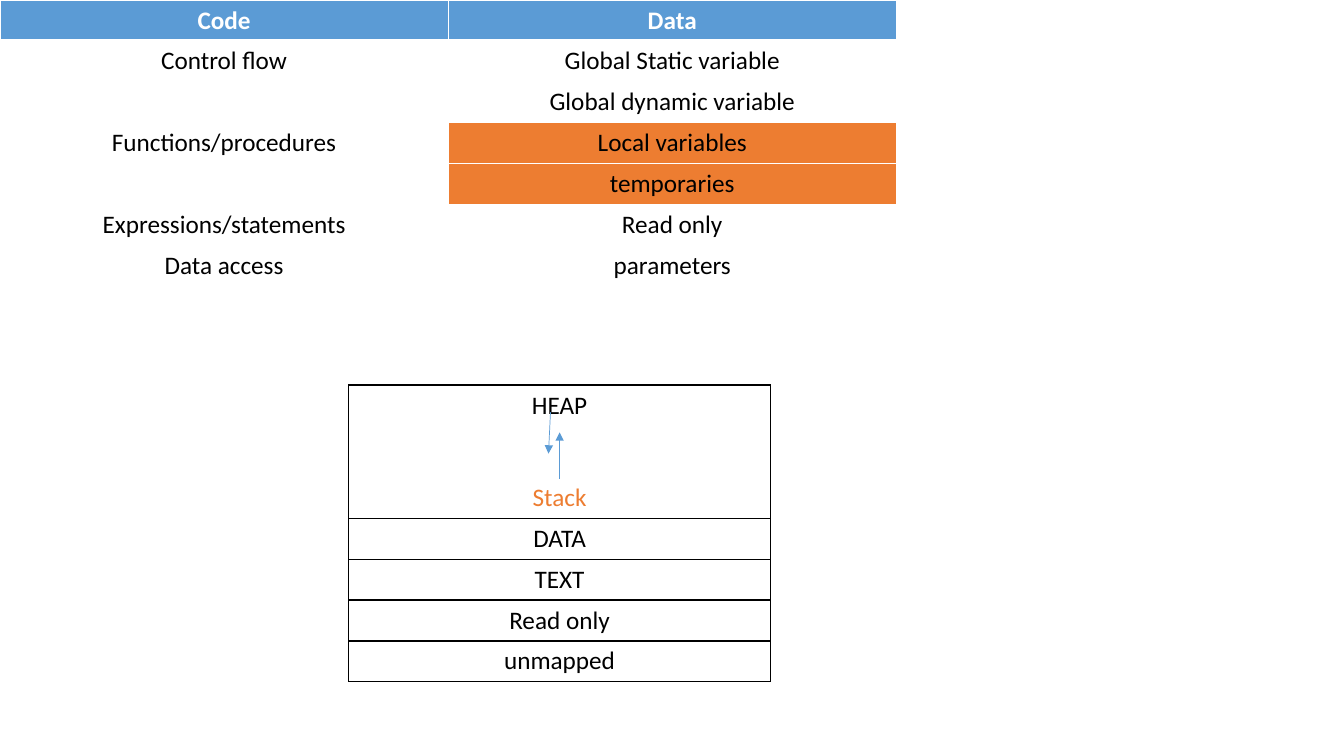
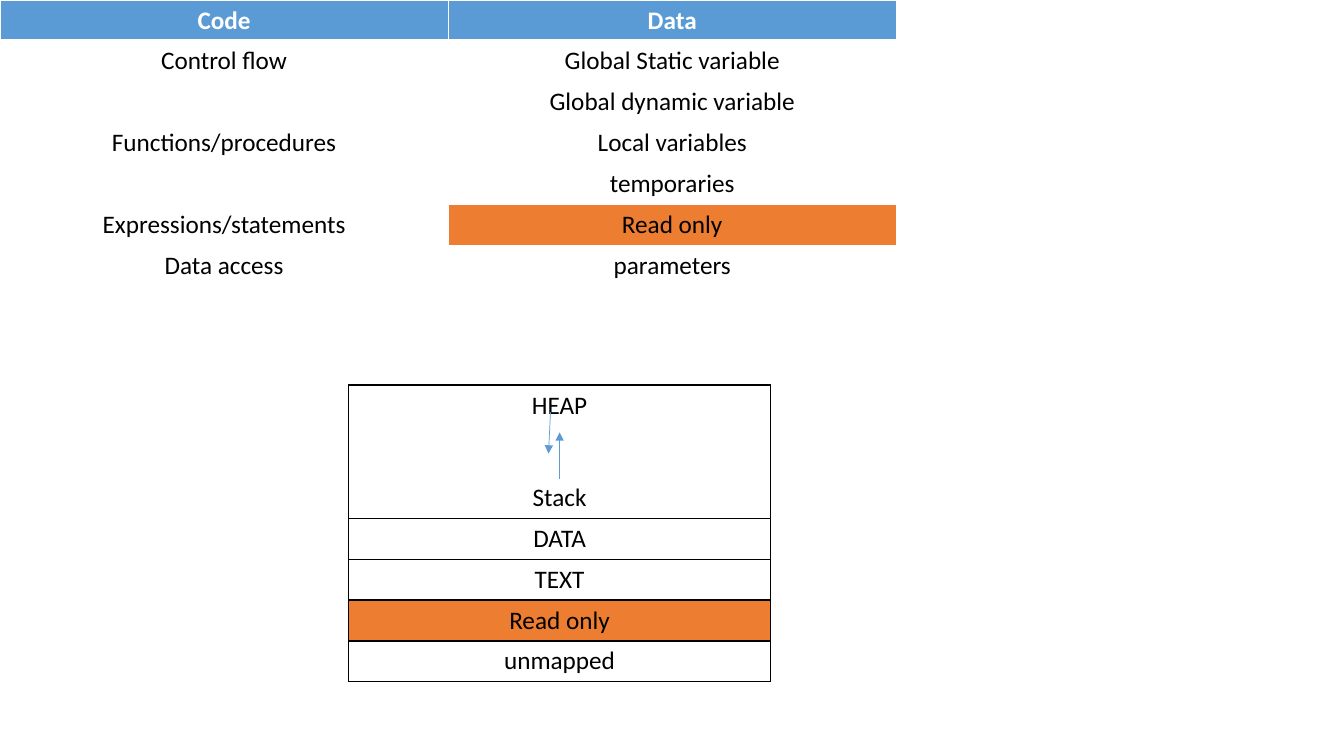
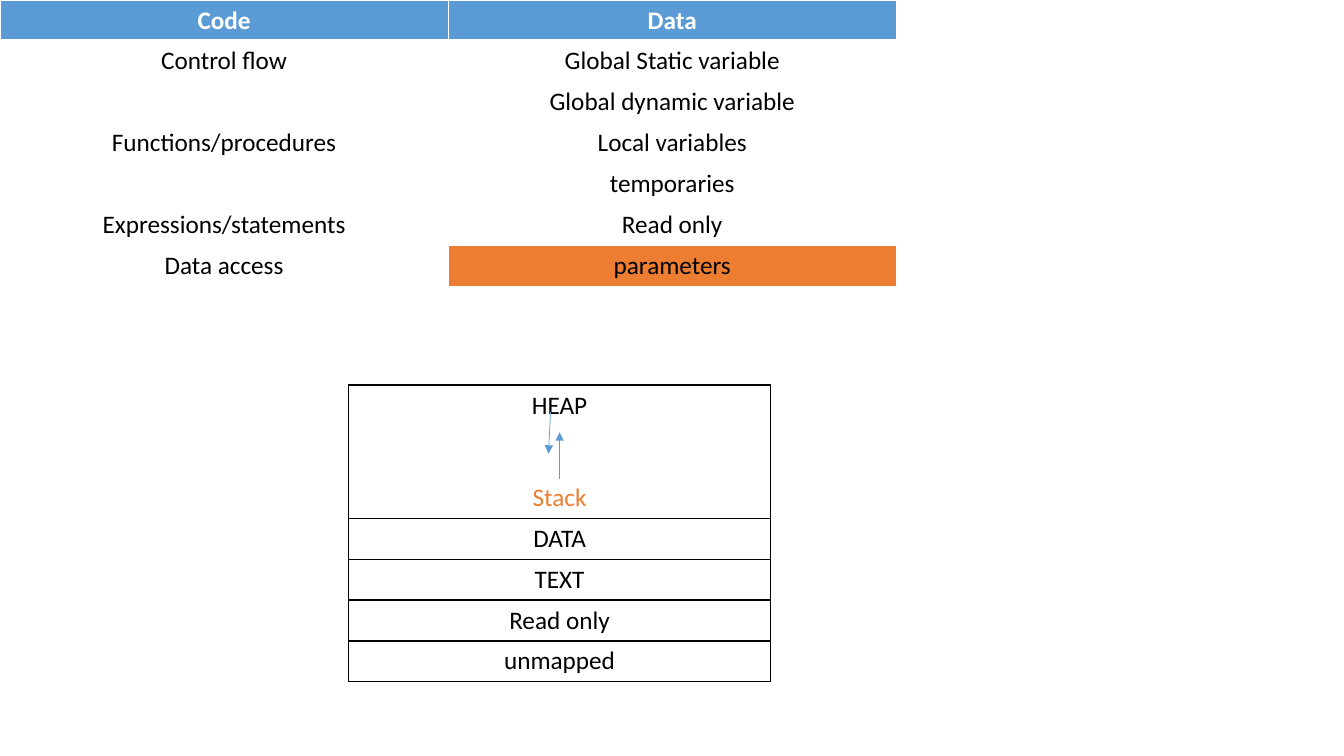
from lxml.etree import SubElement
from pptx import Presentation
from pptx.dml.color import RGBColor
from pptx.enum.shapes import MSO_CONNECTOR
from pptx.enum.text import PP_ALIGN
from pptx.oxml.ns import qn
from pptx.util import Inches, Pt

COLORS = {
    "header": "5B9BD5",
    "highlight": "ED7D31",
    "text": "000000",
    "paper": "FFFFFF",
}
FONT = {"name": "Calibri", "size": Pt(18), "bold": False}
ROW_HEIGHT = 0.4
LINE_HEIGHT = Pt(22)

CONCEPTS = [
    ("Code", "Data"),
    ("Control flow", "Global Static variable"),
    ("", "Global dynamic variable"),
    ("Functions/procedures", "Local variables"),
    ("", "temporaries"),
    ("Expressions/statements", "Read only"),
    ("Data access", "parameters"),
]
SEGMENTS = ["HEAP", "DATA", "TEXT", "Read only", "unmapped"]
GROWTH_ARROWS = [((2, 0.27), (1.98, 0.68)), ((2.09, 0.93), (2.09, 0.47))]

SLIDES = [
    {"Local variables", "temporaries", "Stack"},
    {"Read only"},
    {"parameters", "Stack"},
]


def rgb(color):
    return RGBColor.from_string(COLORS[color])


def write(paragraph, text, color="text", bold=False):
    paragraph.alignment = PP_ALIGN.CENTER
    run = paragraph.add_run()
    run.text = text
    for attribute, value in {**FONT, "bold": bold}.items():
        setattr(run.font, attribute, value)
    run.font.color.rgb = rgb(color)


def set_borders(cell, color, top=1, bottom=1):
    properties = cell._tc.get_or_add_tcPr()
    widths = {"a:lnL": 1, "a:lnR": 1, "a:lnT": top, "a:lnB": bottom}
    for tag, width in widths.items():
        line = SubElement(properties, qn(tag), w=str(Pt(width)))
        fill = SubElement(line, qn("a:solidFill"))
        SubElement(fill, qn("a:srgbClr"), val=COLORS[color])


def fill_cell(cell, color):
    cell.fill.solid()
    cell.fill.fore_color.rgb = rgb(color)


def add_plain_table(slide, box, row_heights, column_count):
    left, top, width = box
    frame = slide.shapes.add_table(
        len(row_heights), column_count, Inches(left), Inches(top),
        Inches(width), Inches(sum(row_heights)))
    table = frame.table
    table.first_row = False
    table.horz_banding = False
    for row, height in zip(table.rows, row_heights):
        row.height = Inches(height)
    return table


def add_concept_table(slide, box, highlighted):
    table = add_plain_table(slide, box, [ROW_HEIGHT] * len(CONCEPTS), 2)
    for row, texts in enumerate(CONCEPTS):
        is_header = row == 0
        for column, text in enumerate(texts):
            cell = table.cell(row, column)
            set_borders(cell, "paper", top=3 if row == 1 else 1,
                        bottom=3 if is_header else 1)
            if is_header:
                fill_cell(cell, "header")
            else:
                fill_cell(cell, "highlight" if text in highlighted else "paper")
            if text:
                write(cell.text_frame.paragraphs[0], text,
                      "paper" if is_header else "text", is_header)
            else:
                table.cell(row - 1, column).merge(cell)


def add_arrow(slide, start, end):
    connector = slide.shapes.add_connector(
        MSO_CONNECTOR.STRAIGHT, *map(Inches, start + end))
    connector.line.color.rgb = rgb("header")
    connector.line.width = Pt(0.5)
    SubElement(connector.line._get_or_add_ln(), qn("a:tailEnd"), type="triangle")
    SubElement(connector._element.spPr, qn("a:effectLst"))


def add_memory_map(slide, box, highlighted):
    left, top, _ = box
    heights = [1.32] + [ROW_HEIGHT] * (len(SEGMENTS) - 1)
    table = add_plain_table(slide, box, heights, 1)
    for row, text in enumerate(SEGMENTS):
        cell = table.cell(row, 0)
        set_borders(cell, "text")
        fill_cell(cell, "highlight" if text in highlighted else "paper")
        write(cell.text_frame.paragraphs[0], text)

    stack = table.cell(0, 0).text_frame.add_paragraph()
    stack.space_before = 2 * LINE_HEIGHT
    write(stack, "Stack", "highlight" if "Stack" in highlighted else "text")

    for (start_x, start_y), (end_x, end_y) in GROWTH_ARROWS:
        add_arrow(slide, (left + start_x, top + start_y),
                  (left + end_x, top + end_y))


def main():
    presentation = Presentation()
    presentation.slide_width = Inches(13.33)
    presentation.slide_height = Inches(7.5)
    blank_layout = presentation.slide_layouts[6]
    for highlighted in SLIDES:
        slide = presentation.slides.add_slide(blank_layout)
        add_concept_table(slide, (0, 0, 8.89), highlighted)
        add_memory_map(slide, (3.46, 3.82, 4.18), highlighted)
    presentation.save("out.pptx")


if __name__ == "__main__":
    main()
